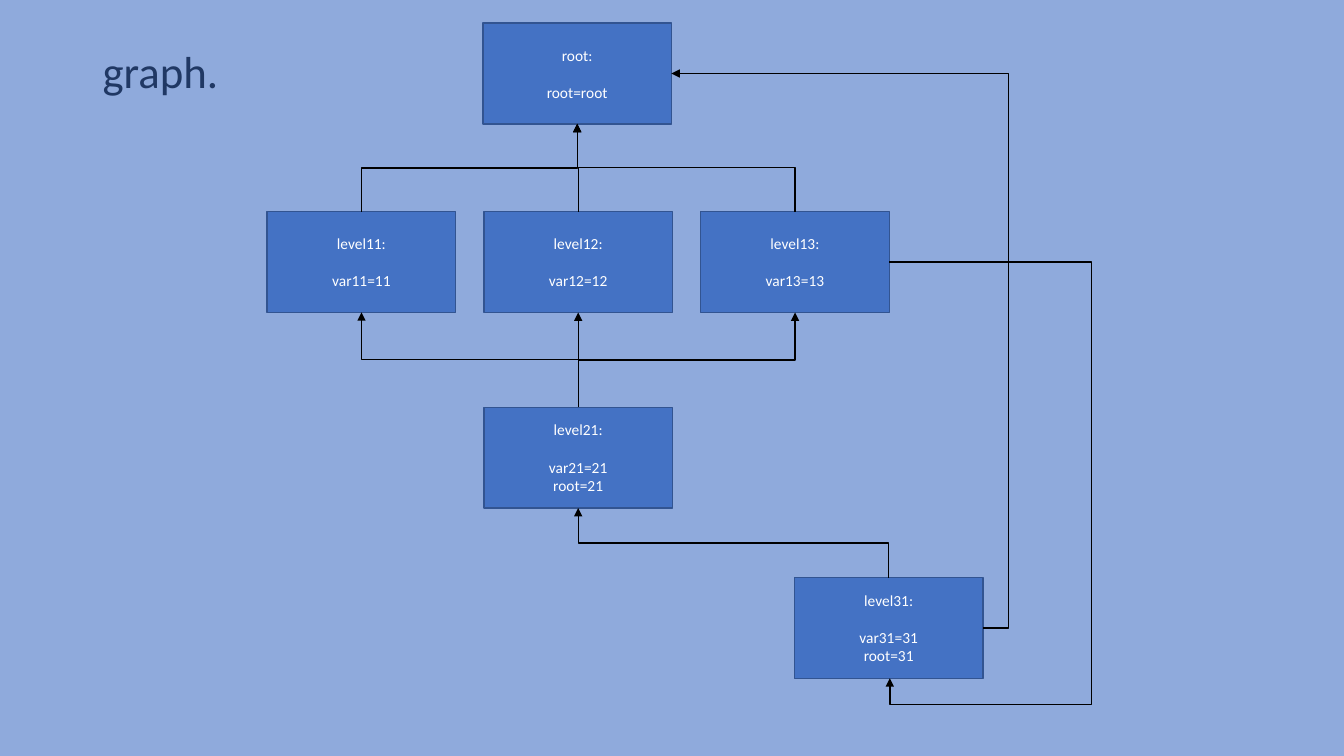
"""Build the slide showing a graph of nodes that inherit variables."""
from lxml import etree
from pptx import Presentation
from pptx.dml.color import RGBColor
from pptx.enum.shapes import MSO_CONNECTOR, MSO_SHAPE
from pptx.enum.text import MSO_ANCHOR, PP_ALIGN
from pptx.oxml.ns import qn
from pptx.util import Inches, Pt

ELBOW = MSO_CONNECTOR.ELBOW
RECT = MSO_SHAPE.RECTANGLE
MIDDLE = MSO_ANCHOR.MIDDLE
CENTER = PP_ALIGN.CENTER

TITLE = "graph."
FONT = "Calibri"
COLORS = {"back": "8FAADC", "title": "203864", "node": "4472C4",
          "edge": "325491", "text": "FFFFFF", "line": "000000"}
WIDE, HIGH = 1.87, 1.0
COL, STEP = 2.65, 2.15
TOP, RIGHT, BOTTOM = 0, 3, 2
NODES = {
    "root": (4.79, 0.23, ["root=root"]),
    "level11": (COL, 2.1, ["var11=11"]),
    "level12": (COL + STEP, 2.1, ["var12=12"]),
    "level13": (COL + 2 * STEP, 2.1, ["var13=13"]),
    "level21": (COL + STEP, 4.04, ["var21=21", "root=21"]),
    "level31": (7.88, 5.73, ["var31=31", "root=31"]),
}
RISES = [("level21", "level11"), ("level21", "level12"),
         ("level21", "level13"), ("level11", "root"), ("level12", "root"),
         ("level13", "root"), ("level31", "level21")]
BACK_X = 10.0
LOOP_X, LOOP_Y = 10.78, 6.99


def rgb(name):
    return RGBColor.from_string(COLORS[name])


def style(para, size, color):
    para.font.name, para.font.size = FONT, Pt(size)
    para.font.color.rgb = rgb(color)


def add_node(name, left, top, values):
    box = slide.shapes.add_shape(RECT, Inches(left), Inches(top),
                                 Inches(WIDE), Inches(HIGH))
    box.shadow.inherit = False
    box.fill.solid()
    box.fill.fore_color.rgb = rgb("node")
    box.line.color.rgb = rgb("edge")
    box.line.width = Pt(1)
    frame = box.text_frame
    frame.word_wrap = False
    frame.vertical_anchor = MIDDLE
    frame.text = "\n".join([name + ":"] + values)
    for para in frame.paragraphs:
        para.alignment = CENTER
        style(para, 11, "text")
    frame.paragraphs[0].space_after = Pt(13.4)


def port(name, side):
    left, top, _ = NODES[name]
    dx, dy = {TOP: (0.5, 0), RIGHT: (1, 0.5), BOTTOM: (0.5, 1)}[side]
    return left + dx * WIDE, top + dy * HIGH


def add_arrow(start, end, preset="bentConnector3", turns=(0.5,), rot=0):
    ends = [Inches(v) for v in (*start, *end)]
    link = slide.shapes.add_connector(ELBOW, *ends)
    link.line.color.rgb = rgb("line")
    link.line.width = Pt(1)
    props = link._element.spPr
    if rot:
        props.find(qn("a:xfrm")).set("rot", str(rot * 60000))
    shape = props.find(qn("a:prstGeom"))
    shape.set("prst", preset)
    guides = shape.get_or_add_avLst()
    for num, turn in enumerate(turns, 1):
        etree.SubElement(guides, qn("a:gd"), name=f"adj{num}",
                         fmla=f"val {round(turn * 100000)}")
    etree.SubElement(props.find(qn("a:ln")), qn("a:tailEnd"), type="triangle")
    etree.SubElement(props, qn("a:effectLst"))


def add_rise(child, parent):
    (x1, y1), (x2, y2) = port(child, TOP), port(parent, BOTTOM)
    mid_x, mid_y = (x1 + x2) / 2, (y1 + y2) / 2
    dx, dy = x1 - mid_x, y1 - mid_y
    add_arrow((mid_x - dy, mid_y + dx), (mid_x + dy, mid_y - dx), rot=270)


deck = Presentation()
deck.slide_width, deck.slide_height = Inches(13.33), Inches(7.5)
slide = deck.slides.add_slide(deck.slide_layouts[6])
slide.background.fill.solid()
slide.background.fill.fore_color.rgb = rgb("back")

title = slide.shapes.add_textbox(Inches(0.92), Inches(0.4),
                                 Inches(11.5), Inches(0.66)).text_frame
title.word_wrap = True
title.vertical_anchor = MIDDLE
title.text = TITLE
title.paragraphs[0].line_spacing = 0.9
style(title.paragraphs[0], 32, "title")

for name, node in NODES.items():
    add_node(name, *node)
for pair in RISES:
    add_rise(*pair)

start, end = port("level31", RIGHT), port("root", RIGHT)
add_arrow(start, end, turns=[(BACK_X - start[0]) / (end[0] - start[0])])

start, (x, y) = port("level13", RIGHT), port("level31", BOTTOM)
end = x + 0.01, y
add_arrow(start, end, "bentConnector4",
          [(LOOP_X - start[0]) / (end[0] - start[0]),
           (LOOP_Y - start[1]) / (end[1] - start[1])])

deck.save("out.pptx")
